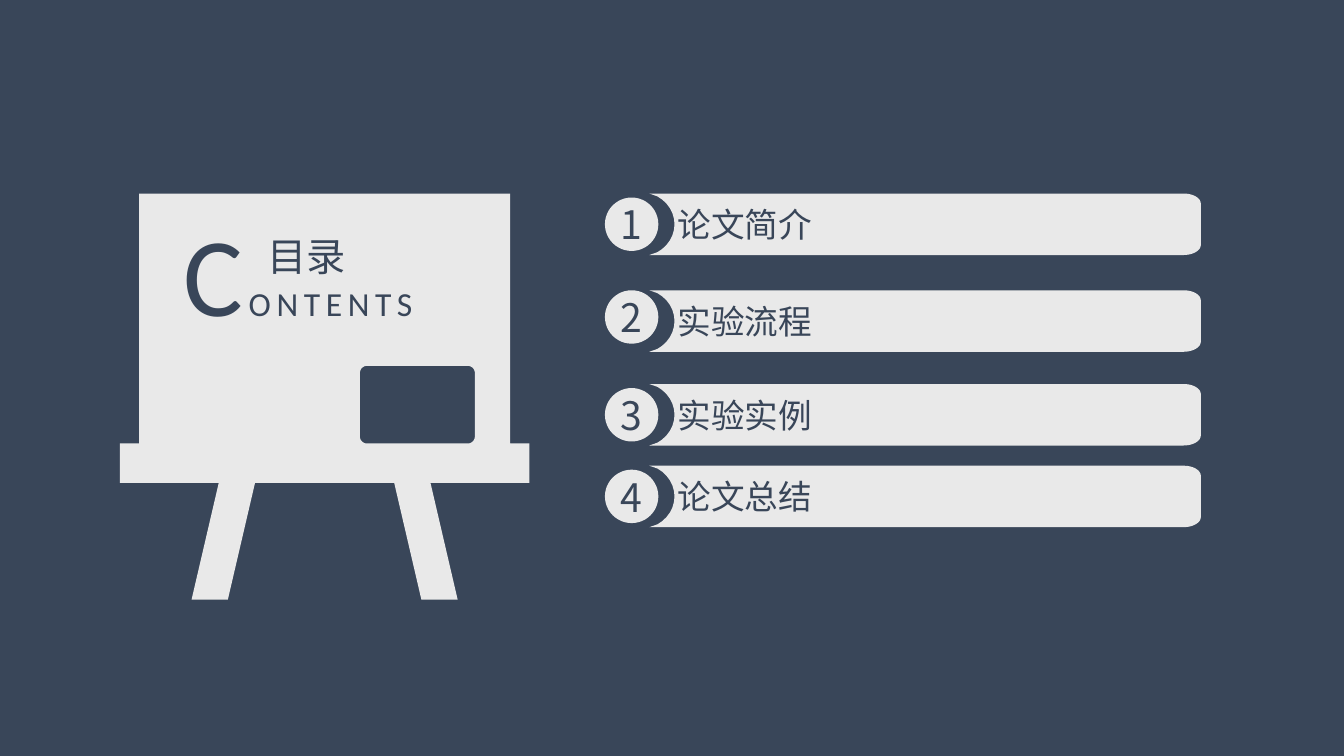
from math import cos, radians, sin

from lxml.etree import SubElement
from pptx import Presentation
from pptx.dml.color import RGBColor
from pptx.enum.shapes import MSO_SHAPE
from pptx.enum.text import MSO_ANCHOR, PP_ALIGN
from pptx.oxml.ns import qn
from pptx.util import Inches, Pt

NAVY = RGBColor(0x39, 0x46, 0x59)
PALE = RGBColor(0xE9, 0xE9, 0xE9)
CJK = "Noto Sans CJK SC"

# Label, top of the bar, drop of the number circle below that top
ENTRIES = [
    ("论文简介", 1.92, 0.04),
    ("实验流程", 2.88, 0),
    ("实验实例", 3.81, 0.04),
    ("论文总结", 4.62, 0.04),
]


def style_run(r, size, font=CJK):
    r.font.size = Pt(size)
    r.font.name = font
    r.font.color.rgb = NAVY
    SubElement(r._r.get_or_add_rPr(), qn("a:ea")).set("typeface", font)


def paint(sp):
    sp.fill.solid()
    sp.fill.fore_color.rgb = PALE
    sp.line.fill.background()
    sp.shadow.inherit = False


def add_outline(shapes, x, y, contours):
    """Draw closed contours whose points are inches from (x, y)."""
    emu = [[(Inches(x + px), Inches(y + py)) for px, py in c] for c in contours]
    builder = shapes.build_freeform(*emu[0][0])
    for i, points in enumerate(emu):
        if i:
            builder.move_to(*points[0])
        builder.add_line_segments(points[1:], close=True)
    sp = builder.convert_to_shape()
    paint(sp)
    return sp


def arc(cx, cy, rx, ry, start, end, steps=12):
    angles = [radians(start + (end - start) * i / steps) for i in range(steps + 1)]
    return [(cx + rx * cos(a), cy + ry * sin(a)) for a in angles]


def rounded_box(x, y, w, h, radius):
    centres = [(x + w - radius, y + h - radius), (x + radius, y + h - radius),
               (x + radius, y + radius), (x + w - radius, y + radius)]
    return [pt for i, (cx, cy) in enumerate(centres)
            for pt in arc(cx, cy, radius, radius, 90 * i, 90 * i + 90)]


def add_text(shapes, x, y, w, h, text):
    tf = shapes.add_textbox(Inches(x), Inches(y), Inches(w), Inches(h)).text_frame
    tf.word_wrap = True
    tf.vertical_anchor = MSO_ANCHOR.MIDDLE
    tf.text = text
    return tf.paragraphs[0]


def add_board(s, x, y, w):
    shapes = s.shapes.add_group_shape().shapes
    # Easel: right half, mirrored for the left half, with a window cut out
    half = [(1.84, 0), (1.84, 2.48), (w / 2, 2.48), (w / 2, 2.87),
            (1.05, 2.87), (1.32, 4.03), (0.96, 4.03), (0.69, 2.87)]
    easel = [(w / 2 + dx, dy) for dx, dy in half]
    easel += [(w / 2 - dx, dy) for dx, dy in reversed(half)]
    window = rounded_box(2.38, 1.71, 1.14, 0.77, 0.07)
    add_outline(shapes, x, y, [easel, window[::-1]])

    # Heading
    p = add_text(shapes, x + 0.53, y + 0.2, 3.12, 1.16, "C")
    p.add_run().text = "ONTENTS"
    for r, size in zip(p.runs, (80, 24)):
        style_run(r, size, "Calibri")
        r._r.get_or_add_rPr().set("spc", "400")
    p = add_text(shapes, x + 1.36, y + 0.37, 2.01, 0.49, "目录")
    style_run(p.runs[0], 28)


def add_entry(s, x, y, w, h, number, label, drop):
    shapes = s.shapes.add_group_shape().shapes
    # Bar with rounded right corners and a round bite on the left
    bar_x, bar_w, rx, ry = 0.44, w - 0.44, 0.17, 0.1
    bar = [(0, 0), *arc(bar_w - rx, ry, rx, ry, -90, 0),
           *arc(bar_w - rx, h - ry, rx, ry, 0, 90), (0, h),
           *arc(-0.09, h / 2, 0.34, 0.32, 60, -60)]
    sp = add_outline(shapes, x + bar_x, y, [bar])
    tf = sp.text_frame
    tf.word_wrap = True
    tf.vertical_anchor = MSO_ANCHOR.MIDDLE
    tf.margin_left = Inches(0.28)
    tf.margin_top = tf.margin_right = tf.margin_bottom = Inches(0.04)
    tf.text = label
    tf.paragraphs[0].alignment = PP_ALIGN.LEFT
    style_run(tf.paragraphs[0].runs[0], 24)

    # Number circle
    sp = shapes.add_shape(MSO_SHAPE.OVAL, Inches(x), Inches(y + drop),
                          Inches(0.53), Inches(0.53))
    paint(sp)
    tf = sp.text_frame
    tf.word_wrap = False
    tf.vertical_anchor = MSO_ANCHOR.MIDDLE
    tf.margin_left = tf.margin_top = tf.margin_right = tf.margin_bottom = 0
    tf.text = str(number)
    tf.paragraphs[0].alignment = PP_ALIGN.CENTER
    style_run(tf.paragraphs[0].runs[0], 28)


def add_contents_slide(prs):
    s = prs.slides.add_slide(prs.slide_layouts[6])
    s.background.fill.solid()
    s.background.fill.fore_color.rgb = NAVY
    add_board(s, 1.19, 1.92, 4.06)
    for number, (label, top, drop) in enumerate(ENTRIES, 1):
        add_entry(s, 6, top, 5.91, 0.61, number, label, drop)


def main():
    prs = Presentation()
    prs.slide_width, prs.slide_height = Inches(13.33), Inches(7.5)
    add_contents_slide(prs)
    prs.save("out.pptx")


if __name__ == "__main__":
    main()
